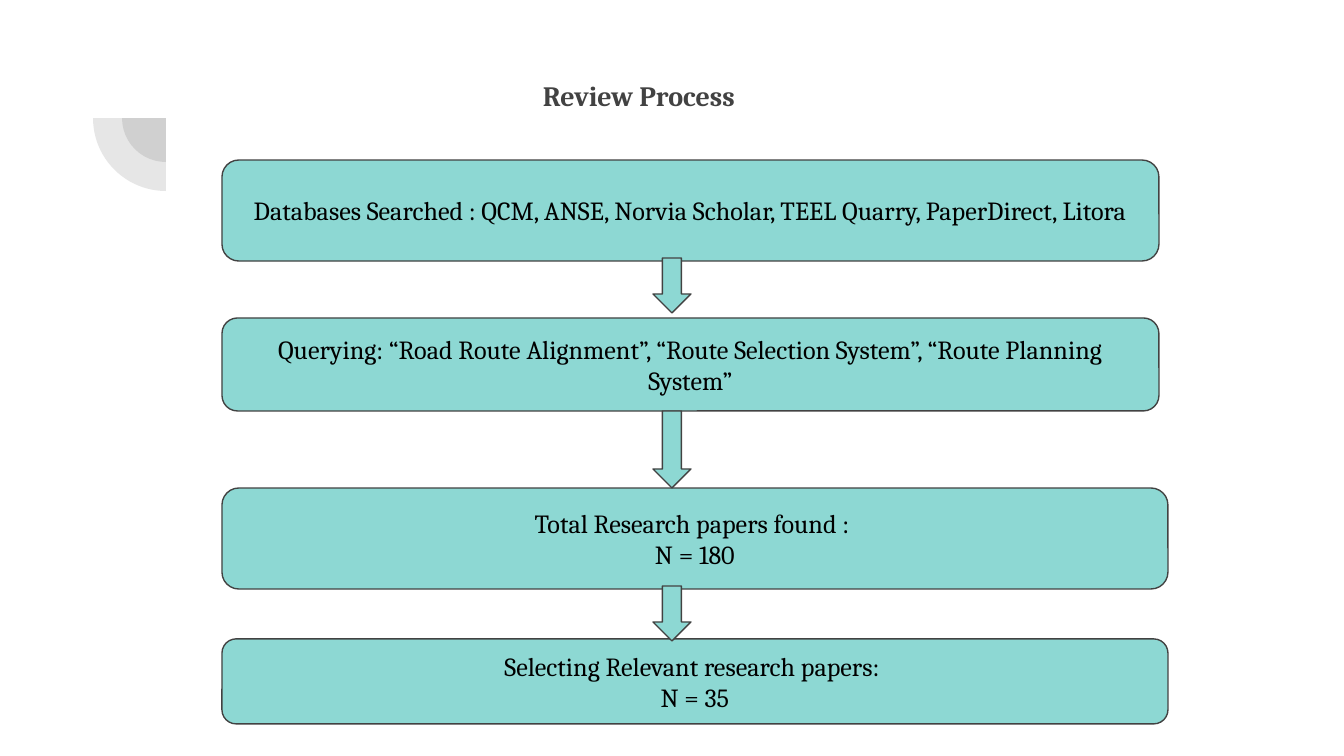
from lxml import etree
from pptx import Presentation
from pptx.dml.color import RGBColor
from pptx.enum.shapes import MSO_SHAPE
from pptx.enum.text import MSO_ANCHOR, MSO_AUTO_SIZE, PP_ALIGN
from pptx.oxml.ns import qn
from pptx.util import Pt

ROUNDED, DOWN_ARROW, PIE = MSO_SHAPE.ROUNDED_RECTANGLE, MSO_SHAPE.DOWN_ARROW, MSO_SHAPE.PIE
TOP, MIDDLE = MSO_ANCHOR.TOP, MSO_ANCHOR.MIDDLE
LEFT, CENTER = PP_ALIGN.LEFT, PP_ALIGN.CENTER
NO_AUTOFIT = MSO_AUTO_SIZE.NONE

COLORS = {"step": "8DD8D3", "dark": "424242", "text": "000000"}
FONT = "Cambria"
EMU_PER_PX = 914400 / 134.4
INSET = 13


def px(*lengths):
    return [round(length * EMU_PER_PX) for length in lengths]


def color(name):
    return RGBColor.from_string(COLORS[name])


class FlowSlide:
    def __init__(self, deck):
        self.slide = deck.slides.add_slide(deck.slide_layouts[5])

    def set_text(self, frame, lines, size, ink, align, anchor, bold=False, indent=INSET):
        frame.word_wrap = True
        frame.auto_size = NO_AUTOFIT
        frame.vertical_anchor = anchor
        frame.margin_left, frame.margin_right, frame.margin_top, frame.margin_bottom = px(
            indent, INSET, INSET, INSET)
        frame.text = "\n".join(lines)
        for paragraph in frame.paragraphs:
            paragraph.alignment = align
            font = paragraph.font
            font.name, font.size, font.bold = FONT, Pt(size), bold
            font.color.rgb = color(ink)

    def title(self, words, left, top, width, height, indent):
        heading = self.slide.shapes.title
        heading.left, heading.top, heading.width, heading.height = px(left, top, width, height)
        self.set_text(heading.text_frame, [words], 15, "dark", LEFT, TOP, bold=True, indent=indent)

    def shape(self, kind, left, top, width, height, fill):
        drawn = self.slide.shapes.add_shape(kind, *px(left, top, width, height))
        drawn.shadow.inherit = False
        drawn.fill.solid()
        drawn.fill.fore_color.rgb = color(fill)
        drawn.line.color.rgb = color("dark")
        drawn.line.width = Pt(0.75)
        return drawn

    def step(self, lines, left, top, width, height):
        box = self.shape(ROUNDED, left, top, width, height, "step")
        self.set_text(box.text_frame, lines, 14, "text", CENTER, MIDDLE)

    def arrow(self, center, top, height):
        width = 38
        self.shape(DOWN_ARROW, center - width // 2, top, width, height, "step")

    def quarter(self, center_x, center_y, radius):
        wedge = self.shape(PIE, center_x - radius, center_y - radius, 2 * radius, 2 * radius, "dark")
        wedge.adjustments[0], wedge.adjustments[1] = 108, 162
        wedge.rotation = 270
        wedge.line.fill.background()
        tint = wedge.element.spPr.find(qn("a:solidFill"))[0]
        etree.SubElement(tint, qn("a:alpha")).set("val", "13000")


deck = Presentation()
deck.slide_width, deck.slide_height = px(1344, 756)
review = FlowSlide(deck)

# Corner ornament: two concentric quarter discs
for radius in (44, 73):
    review.quarter(166, 118, radius)

review.title("Review Process", 181, 66, 1034, 93, indent=362)

# Steps of the review, from top to bottom
STEPS = [
    (["Databases Searched : QCM, ANSE, Norvia Scholar, TEEL Quarry, PaperDirect, Litora"],
     160, 937, 101),
    (["Querying: “Road Route Alignment”, “Route Selection System”, “Route Planning System”"],
     318, 937, 93),
    (["Total Research papers found : ", "N = 180"], 488, 946, 101),
    (["Selecting Relevant research papers: ", "N = 35"], 639, 946, 85),
]
for lines, top, width, height in STEPS:
    review.step(lines, 222, top, width, height)

# Arrows between the steps
for top, height in [(258, 55), (411, 77), (586, 55)]:
    review.arrow(672, top, height)

deck.save("out.pptx")
